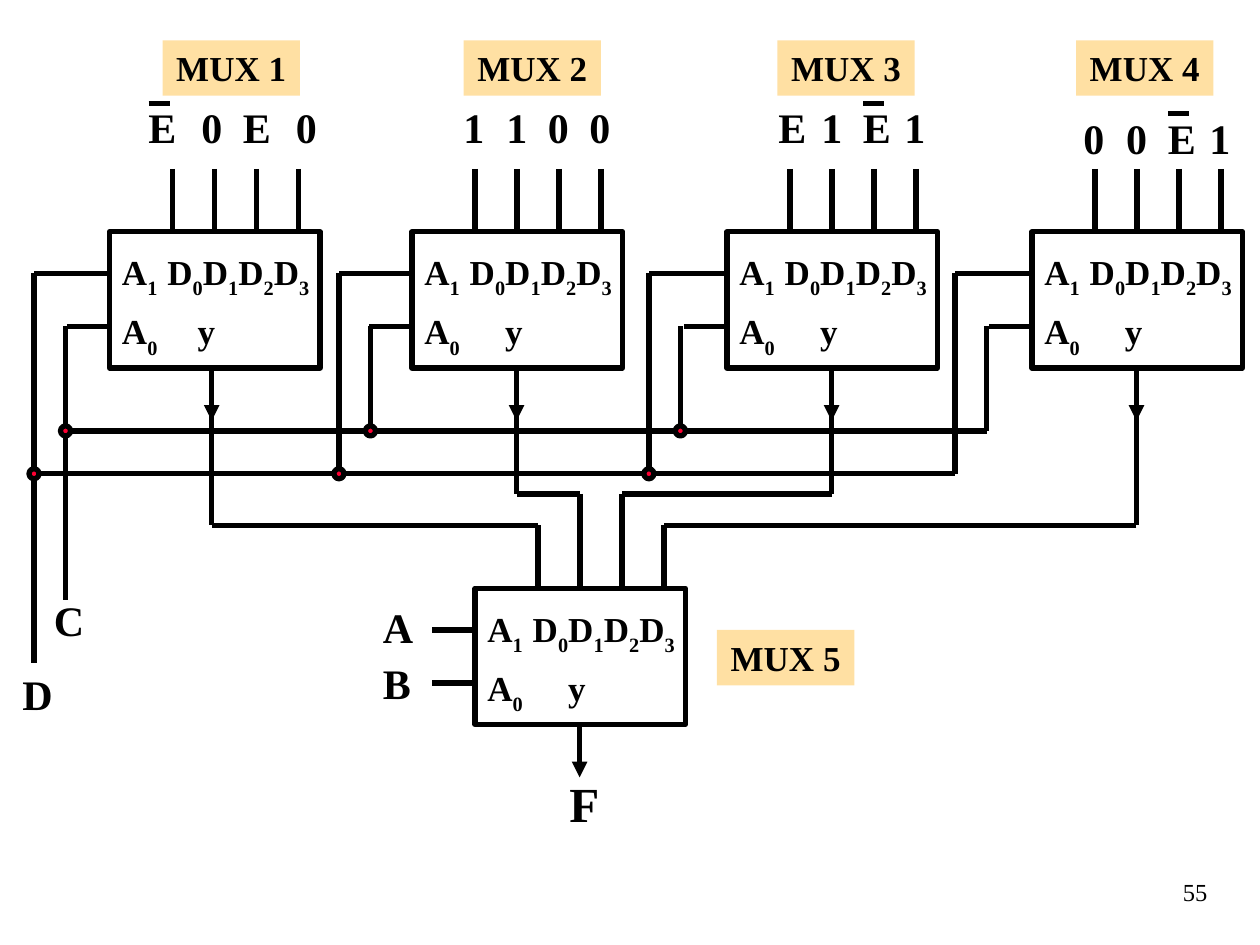
from dataclasses import dataclass
from itertools import pairwise

from lxml import etree
from pptx import Presentation
from pptx.dml.color import RGBColor
from pptx.enum.shapes import MSO_CONNECTOR, MSO_SHAPE
from pptx.enum.text import MSO_ANCHOR, PP_ALIGN
from pptx.oxml.ns import qn
from pptx.util import Inches, Pt

STRAIGHT = MSO_CONNECTOR.STRAIGHT
RECTANGLE, OVAL = MSO_SHAPE.RECTANGLE, MSO_SHAPE.OVAL
TOP, MIDDLE = MSO_ANCHOR.TOP, MSO_ANCHOR.MIDDLE
LEFT, CENTER, RIGHT = PP_ALIGN.LEFT, PP_ALIGN.CENTER, PP_ALIGN.RIGHT


@dataclass(frozen=True)
class Theme:
    font: str = "Times New Roman"
    ink: RGBColor = RGBColor(0x00, 0x00, 0x00)
    tag: RGBColor = RGBColor(0xFF, 0xE0, 0xA3)
    dot: RGBColor = RGBColor(0xFF, 0x00, 0x33)
    stroke: float = 3
    pin_size: float = 20
    signal_size: float = 24
    result_size: float = 28
    number_size: float = 14


@dataclass(frozen=True)
class Mux:
    left: float
    top: float = 1.84
    output_offset: float = 0.83
    y_tab: float = 0.64

    def input_x(self, index: int) -> float:
        return self.left + 0.5 + index / 3

    @property
    def output_x(self) -> float:
        return self.left + self.output_offset


@dataclass(frozen=True)
class Stage:
    mux: Mux
    name: str
    tag_left: float
    inputs: str
    barred: int | None
    bus_x: float
    turn_y: float
    label_top: float = 0.76
    label_offsets: tuple = (0.31, 0.65, 0.98, 1.31)


THEME = Theme()
MUX_WIDTH, MUX_HEIGHT = 1.67, 1.08
STUB, LEAD = 0.34, 0.5
ADDRESS_OFFSETS = (0.33, 0.75)
BUS_C, BUS_D, BUS_GAP = 3.42, 3.76, 0.25
DOT = 0.08
FINAL = Mux(3.77, 4.67)
STAGES = (
    Stage(Mux(0.87, output_offset=0.81, y_tab=0.6), "MUX 1", 1.29, "E0E0", 0,
          0.27, 4.17, label_offsets=(0.21, 0.63, 0.96, 1.38)),
    Stage(Mux(3.27), "MUX 2", 3.68, "1100", None, 2.69, 3.92),
    Stage(Mux(5.77), "MUX 3", 6.17, "E1E1", 2, 5.15, 3.92),
    Stage(Mux(8.19), "MUX 4", 8.54, "00E1", 2, 7.58, 4.17, label_top=0.84),
)

deck = Presentation()
deck.slide_width, deck.slide_height = Inches(10), Inches(7.5)
page = deck.slides.add_slide(deck.slide_layouts[6])


def write(box, text: str, *, size: float, bold: bool = True, align=LEFT,
          anchor=TOP, wrap: bool = True, spacing: float | None = None,
          before: float = 0, tabs: tuple = ()) -> None:
    frame = box.text_frame
    frame.word_wrap = wrap
    frame.vertical_anchor = anchor
    for index, line in enumerate(text.split("\n")):
        para = frame.add_paragraph() if index else frame.paragraphs[0]
        para.alignment = align
        para.line_spacing = spacing
        if index and before:
            para.space_before = Pt(before)
        if tabs:
            tab_list = etree.SubElement(para._p.get_or_add_pPr(), qn("a:tabLst"))
            etree.SubElement(tab_list, qn("a:tab"), pos=str(Inches(tabs[index])), algn="l")
        for part, piece in enumerate(line.split("|")):
            span = para.add_run()
            span.text = piece
            span.font.name = THEME.font
            span.font.size = Pt(size)
            span.font.bold = bold
            span.font.color.rgb = THEME.ink
            if part % 2:
                span.font._element.set("baseline", "-30000")


def label(text: str, left: float, top: float, width: float = 0.5,
          height: float = 0.5, size: float = THEME.signal_size, **format) -> None:
    box = page.shapes.add_textbox(*map(Inches, (left, top, width, height)))
    write(box, text, size=size, **format)


def shape(kind, left: float, top: float, width: float, height: float,
          fill: RGBColor | None = None, outlined: bool = True):
    box = page.shapes.add_shape(kind, *map(Inches, (left, top, width, height)))
    box.shadow.inherit = False
    if fill is None:
        box.fill.background()
    else:
        box.fill.solid()
        box.fill.fore_color.rgb = fill
    if outlined:
        box.line.color.rgb = THEME.ink
        box.line.width = Pt(THEME.stroke)
    else:
        box.line.fill.background()
    return box


def wire(*points: tuple[float, float], arrow: bool = False) -> None:
    for start, end in pairwise(points):
        line = page.shapes.add_connector(STRAIGHT, *map(Inches, (*start, *end)))
        line.line.color.rgb = THEME.ink
        line.line.width = Pt(THEME.stroke)
        if arrow:
            etree.SubElement(line.line._get_or_add_ln(), qn("a:tailEnd"), type="triangle")
        etree.SubElement(line._element.spPr, qn("a:effectLst"))


def draw_mux(mux: Mux) -> None:
    box = shape(RECTANGLE, mux.left, mux.top, MUX_WIDTH, MUX_HEIGHT)
    write(box, "A|1|\tD|0|D|1|D|2|D|3\nA|0|\ty", size=THEME.pin_size,
          anchor=MIDDLE, wrap=False, spacing=1.2, tabs=(0.36, mux.y_tab))
    for offset in ADDRESS_OFFSETS:
        wire((mux.left - STUB, mux.top + offset), (mux.left, mux.top + offset))
    for index in range(4):
        x = mux.input_x(index)
        wire((x, mux.top - LEAD), (x, mux.top))
    bottom = mux.top + MUX_HEIGHT
    wire((mux.output_x, bottom), (mux.output_x, bottom + 0.42), arrow=True)


def draw_tag(name: str, left: float, top: float = 0.32) -> None:
    box = shape(RECTANGLE, left, top, 1.09, 0.44, THEME.tag, outlined=False)
    write(box, name, size=THEME.pin_size, align=CENTER)


def draw_inputs(stage: Stage) -> None:
    for index, (text, offset) in enumerate(zip(stage.inputs, stage.label_offsets)):
        left = stage.mux.left + offset
        label(text, left, stage.label_top)
        if index == stage.barred:
            bar_y = stage.label_top + 0.06
            wire((left + 0.1, bar_y), (left + 0.27, bar_y))


def draw_address_taps(stage: Stage) -> None:
    high, low = (stage.mux.top + offset for offset in ADDRESS_OFFSETS)
    outer, inner = stage.bus_x, stage.bus_x + BUS_GAP
    wire((inner + 0.08, high), (outer, high), (outer, BUS_D))
    wire((inner, low), (inner, BUS_C))


def draw_dot(x: float, y: float) -> None:
    shape(OVAL, x - DOT / 2, y - DOT / 2, DOT, DOT, THEME.dot)


draw_mux(FINAL)
for index, stage in enumerate(STAGES):
    draw_mux(stage.mux)
    draw_address_taps(stage)
    draw_inputs(stage)
    draw_tag(stage.name, stage.tag_left)
    out_x, in_x = stage.mux.output_x, FINAL.input_x(index)
    wire((out_x, 3.17), (out_x, stage.turn_y), (in_x, stage.turn_y))
    if stage.turn_y < FINAL.top - LEAD:
        wire((in_x, stage.turn_y), (in_x, 4.26))

first_x, last_x = STAGES[0].bus_x, STAGES[-1].bus_x
wire((first_x, BUS_D), (last_x, BUS_D))
wire((first_x + BUS_GAP, BUS_C), (last_x + BUS_GAP, BUS_C))
wire((first_x, BUS_D), (first_x, 5.26))
wire((first_x + BUS_GAP, BUS_C), (first_x + BUS_GAP, 4.76))
for stage in STAGES[:-1]:
    draw_dot(stage.bus_x, BUS_D)
    draw_dot(stage.bus_x + BUS_GAP, BUS_C)

label("A\nB", 2.94, 4.85, height=0.82, spacing=0.65, before=13)
label("C", 0.33, 4.67)
label("D", 0.08, 5.26)
label("F", 4.42, 6.09, 0.42, 0.57, THEME.result_size)
draw_tag("MUX 5", 5.69, 5)
label("55", 7.6, 6.83, 2.08, size=THEME.number_size, bold=False,
      align=RIGHT, anchor=MIDDLE)

deck.save("out.pptx")
